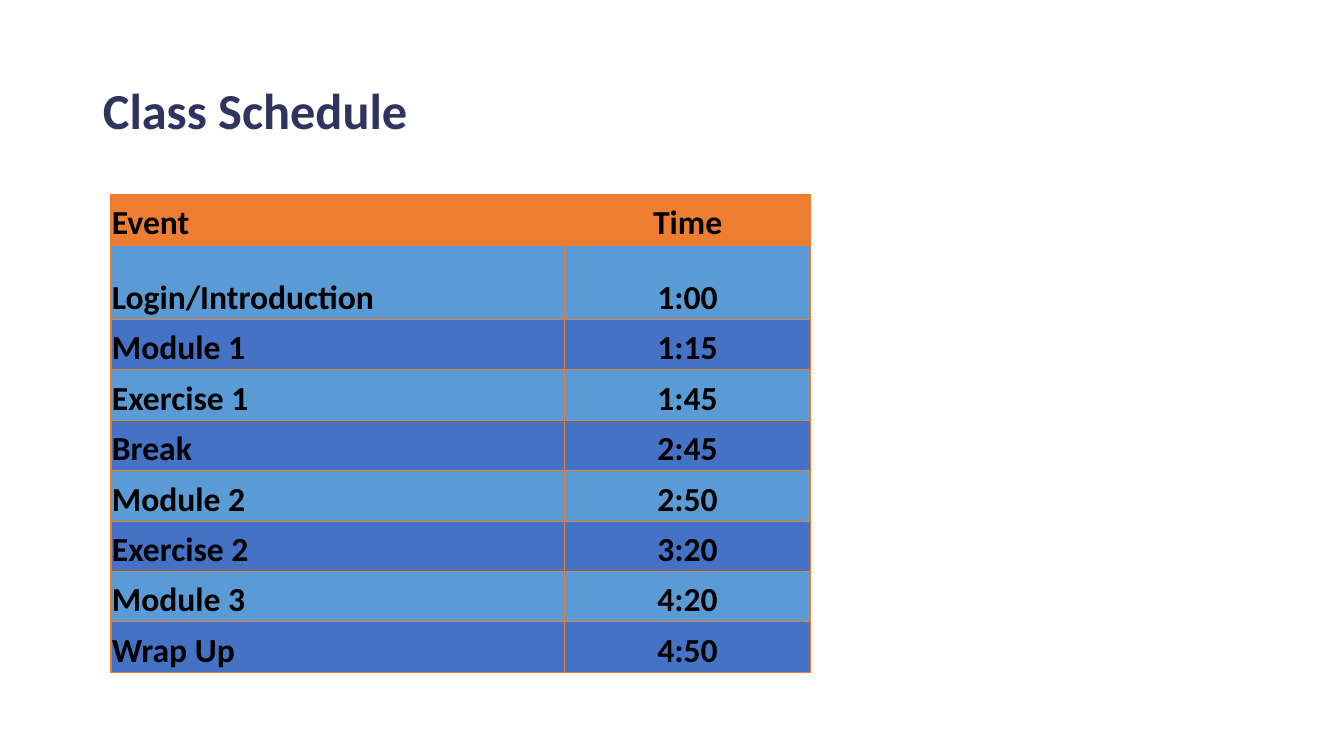
from lxml.etree import SubElement
from pptx import Presentation
from pptx.dml.color import RGBColor
from pptx.enum.text import MSO_ANCHOR as ANCHOR, PP_ALIGN as ALIGN
from pptx.oxml.ns import qn
from pptx.util import Inches, Pt

COLORS = {
    "title": "30335D",
    "text": "000000",
    "accent": "ED7D31",
    "light": "5B9BD5",
    "dark": "4472C4",
}
FONT = "Calibri"
SLIDE_W, SLIDE_H = 13.33, 7.5
COLUMN_WIDTHS = (4.5, 2.44)
ROW_H, INTRO_ROW_H = 0.5, 0.74
CELL_INSET = 0.01
SCHEDULE = [
    ("Event", "Time"),
    ("Login/Introduction", "1:00"),
    ("Module 1", "1:15"),
    ("Exercise 1", "1:45"),
    ("Break", "2:45"),
    ("Module 2", "2:50"),
    ("Exercise 2", "3:20"),
    ("Module 3", "4:20"),
    ("Wrap Up", "4:50"),
]


def color(name):
    return RGBColor.from_string(COLORS[name])


def format_runs(p, size, name):
    for r in p.runs:
        r.font.name = FONT
        r.font.size = Pt(size)
        r.font.bold = True
        r.font.color.rgb = color(name)


def add_title(s, text):
    sp = s.shapes.title
    sp.left, sp.top = Inches(0.92), Inches(0.4)
    sp.width, sp.height = Inches(11.5), Inches(1.45)
    tf = sp.text_frame
    tf.text = text
    tf.vertical_anchor = ANCHOR.MIDDLE
    p = tf.paragraphs[0]
    p.alignment = ALIGN.LEFT
    p.line_spacing = 0.9
    format_runs(p, 36, "title")


def add_borders(cell, name):
    tc_pr = cell._tc.get_or_add_tcPr()
    for i, side in enumerate(("lnL", "lnR", "lnT", "lnB")):
        ln = SubElement(tc_pr, qn(f"a:{side}"), w=str(Pt(1)))
        fill = SubElement(ln, qn("a:solidFill"))
        SubElement(fill, qn("a:srgbClr"), val=COLORS[name])
        tc_pr.insert(i, ln)


def fill_cell(cell, text, fill, align):
    cell.text_frame.text = text
    cell.vertical_anchor = ANCHOR.BOTTOM
    cell.margin_left = cell.margin_right = Inches(CELL_INSET)
    cell.margin_top = cell.margin_bottom = Inches(CELL_INSET)
    cell.fill.solid()
    cell.fill.fore_color.rgb = color(fill)
    add_borders(cell, "accent")
    p = cell.text_frame.paragraphs[0]
    p.alignment = align
    format_runs(p, 24, "text")


def row_fill(row):
    if row == 0:
        return "accent"
    return "light" if row % 2 else "dark"


def add_schedule(s, rows):
    heights = [INTRO_ROW_H if i == 1 else ROW_H for i in range(len(rows))]
    table = s.shapes.add_table(
        len(rows), len(COLUMN_WIDTHS), Inches(1.1), Inches(1.93),
        Inches(sum(COLUMN_WIDTHS)), Inches(sum(heights))).table
    for column, width in zip(table.columns, COLUMN_WIDTHS):
        column.width = Inches(width)
    for i, (values, height) in enumerate(zip(rows, heights)):
        table.rows[i].height = Inches(height)
        for j, (text, align) in enumerate(zip(values, (ALIGN.LEFT, ALIGN.CENTER))):
            fill_cell(table.cell(i, j), text, row_fill(i), align)


def main():
    prs = Presentation()
    prs.slide_width, prs.slide_height = Inches(SLIDE_W), Inches(SLIDE_H)
    s = prs.slides.add_slide(prs.slide_layouts[5])
    add_title(s, "Class Schedule")
    add_schedule(s, SCHEDULE)
    prs.save("out.pptx")


if __name__ == "__main__":
    main()
